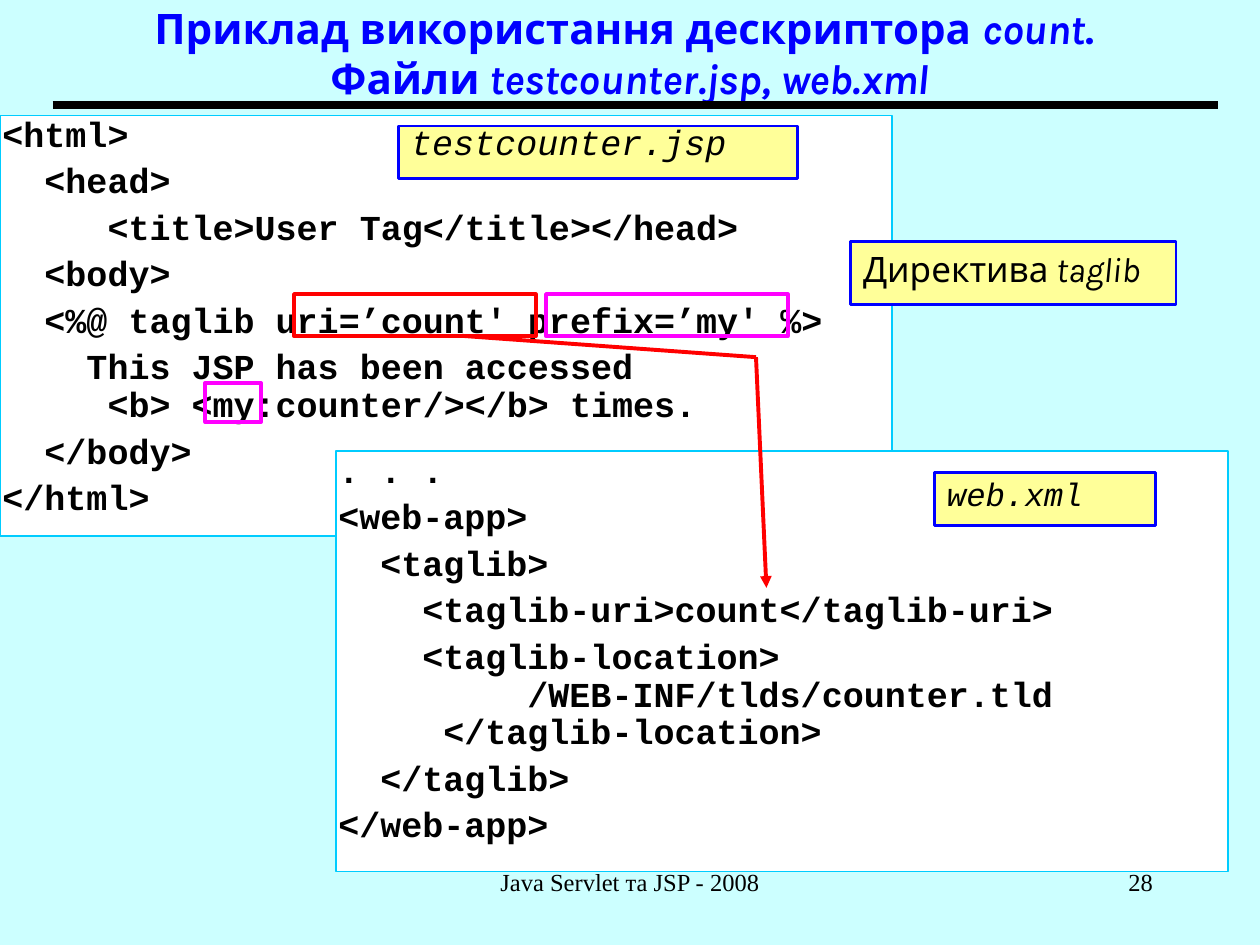
from lxml.etree import SubElement
from pptx import Presentation
from pptx.dml.color import RGBColor
from pptx.enum.shapes import MSO_CONNECTOR, MSO_SHAPE
from pptx.enum.text import MSO_ANCHOR, PP_ALIGN
from pptx.oxml.ns import qn
from pptx.util import Cm, Pt

BACKGROUND = RGBColor(0xCC, 0xFF, 0xFF)
BLACK = RGBColor(0x00, 0x00, 0x00)
WHITE = RGBColor(0xFF, 0xFF, 0xFF)
BLUE = RGBColor(0x00, 0x00, 0xFF)
CYAN = RGBColor(0x00, 0xCC, 0xFF)
YELLOW = RGBColor(0xFF, 0xFF, 0x99)
RED = RGBColor(0xFF, 0x00, 0x00)
MAGENTA = RGBColor(0xFF, 0x00, 0xFF)


def add_box(left, top, width, height, line_color, line_width, fill=None):
    shape = slide.shapes.add_shape(
        MSO_SHAPE.RECTANGLE, Cm(left), Cm(top), Cm(width), Cm(height))
    shape.shadow.inherit = False
    shape.line.color.rgb = line_color
    shape.line.width = Pt(line_width)
    if fill is None:
        shape.fill.background()
    else:
        shape.fill.solid()
        shape.fill.fore_color.rgb = fill
    shape.text_frame.word_wrap = True
    shape.text_frame.vertical_anchor = MSO_ANCHOR.TOP
    return shape


def add_line(start, end, color, width):
    line = slide.shapes.add_connector(
        MSO_CONNECTOR.STRAIGHT, Cm(start[0]), Cm(start[1]), Cm(end[0]), Cm(end[1]))
    line.line.color.rgb = color
    line.line.width = Pt(width)
    SubElement(line._element.spPr, qn("a:effectLst"))
    return line


presentation = Presentation()
presentation.slide_width = Cm(25.4)
presentation.slide_height = Cm(19.05)
slide = presentation.slides.add_slide(presentation.slide_layouts[6])
slide.background.fill.solid()
slide.background.fill.fore_color.rgb = BACKGROUND

# Title: each line is an upright part and an italic part
title = slide.shapes.add_textbox(Cm(0), Cm(0), Cm(25.4), Cm(2.12))
title.text_frame.word_wrap = True
title.text_frame.vertical_anchor = MSO_ANCHOR.MIDDLE
paragraph = title.text_frame.paragraphs[0]
paragraph.alignment = PP_ALIGN.CENTER
for text, italic in [("Приклад використання дескриптора ", False), ("count", True),
                     (". ", False), (None, False),
                     ("Файли", False), (" testcounter.jsp, web.xml", True)]:
    if text is None:
        paragraph.add_line_break()
        continue
    run = paragraph.add_run()
    run.text = text
    run.font.name = "Karla"
    run.font.size = Pt(24)
    run.font.bold = True
    run.font.italic = italic
    run.font.color.rgb = BLUE
add_line((1.06, 2.12), (24.55, 2.12), BLACK, 4.5)

# Code listings
jsp_code = [
    "<html>",
    "  <head>",
    "     <title>User Tag</title></head>",
    "  <body>",
    "  <%@ taglib uri=’count' prefix=’my' %>",
    "    This JSP has been accessed\v     <b> <my:counter/></b> times.",
    "  </body>",
    "</html>",
]
xml_code = [
    ". . .",
    "<web-app>",
    "  <taglib>",
    "    <taglib-uri>count</taglib-uri>",
    "    <taglib-location>\v         /WEB-INF/tlds/counter.tld\v     </taglib-location>",
    "  </taglib>",
    "</web-app>",
]
for left, top, code in [(0, 2.33, jsp_code), (6.77, 9.1, xml_code)]:
    listing = add_box(left, top, 17.99, 8.47, CYAN, 1, WHITE)
    text_frame = listing.text_frame
    text_frame.margin_left = Cm(0.05)
    text_frame.margin_right = Cm(0)
    text_frame.margin_top = text_frame.margin_bottom = Cm(0.03)
    text_frame.text = code[0]
    for code_line in code[1:]:
        paragraph = text_frame.add_paragraph()
        paragraph.text = code_line
        paragraph.space_before = Pt(5)
    for paragraph in text_frame.paragraphs:
        paragraph.alignment = PP_ALIGN.LEFT
        paragraph.line_spacing = 0.9
        for run in paragraph.runs:
            run.font.name = "Courier New"
            run.font.size = Pt(20)
            run.font.bold = True
            run.font.color.rgb = BLACK

# Arrow from the directive to its entry in web.xml
arrow = add_line((15.24, 7.2), (15.45, 11.85), RED, 2.25)
SubElement(arrow.line._get_or_add_ln(), qn("a:tailEnd"), type="triangle")
add_line((9.31, 6.77), (15.24, 7.2), RED, 2.25)

# Yellow labels
labels = [
    (8.04, 2.54, 8.04, 1.06, "Courier New", 20, 0.7, [("testcounter.jsp", True)]),
    (18.84, 9.53, 4.45, 1.06, "Courier New", 18.5, 0.9, [("web.xml", True)]),
    (17.15, 4.87, 6.56, 1.27, "Karla", 20, 1.0, [("Директива", False), (" taglib", True)]),
]
for left, top, width, height, font_name, size, spacing, parts in labels:
    label = add_box(left, top, width, height, BLUE, 1.5, YELLOW)
    paragraph = label.text_frame.paragraphs[0]
    paragraph.alignment = PP_ALIGN.LEFT
    paragraph.line_spacing = spacing
    for text, italic in parts:
        run = paragraph.add_run()
        run.text = text
        run.font.name = font_name
        run.font.size = Pt(size)
        run.font.italic = italic
        run.font.color.rgb = BLACK

# Frames around the matching words
for left, top, width, height, color in [(11.01, 5.93, 4.87, 0.85, MAGENTA),
                                        (5.93, 5.93, 4.87, 0.85, RED),
                                        (4.14, 7.72, 1.12, 0.79, MAGENTA)]:
    add_box(left, top, width, height, color, 2.25)

# Footer and slide number
for left, width, alignment, text in [
        (8.68, 8.04, PP_ALIGN.CENTER, "Java Servlet та JSP - 2008"),
        (18.2, 5.29, PP_ALIGN.RIGHT, "28")]:
    footer = slide.shapes.add_textbox(Cm(left), Cm(17.36), Cm(width), Cm(1.27))
    footer.text_frame.word_wrap = True
    footer.text_frame.text = text
    paragraph = footer.text_frame.paragraphs[0]
    paragraph.alignment = alignment
    run = paragraph.runs[0]
    run.font.name = "Times New Roman"
    run.font.size = Pt(14)
    run.font.color.rgb = BLACK

presentation.save("out.pptx")
